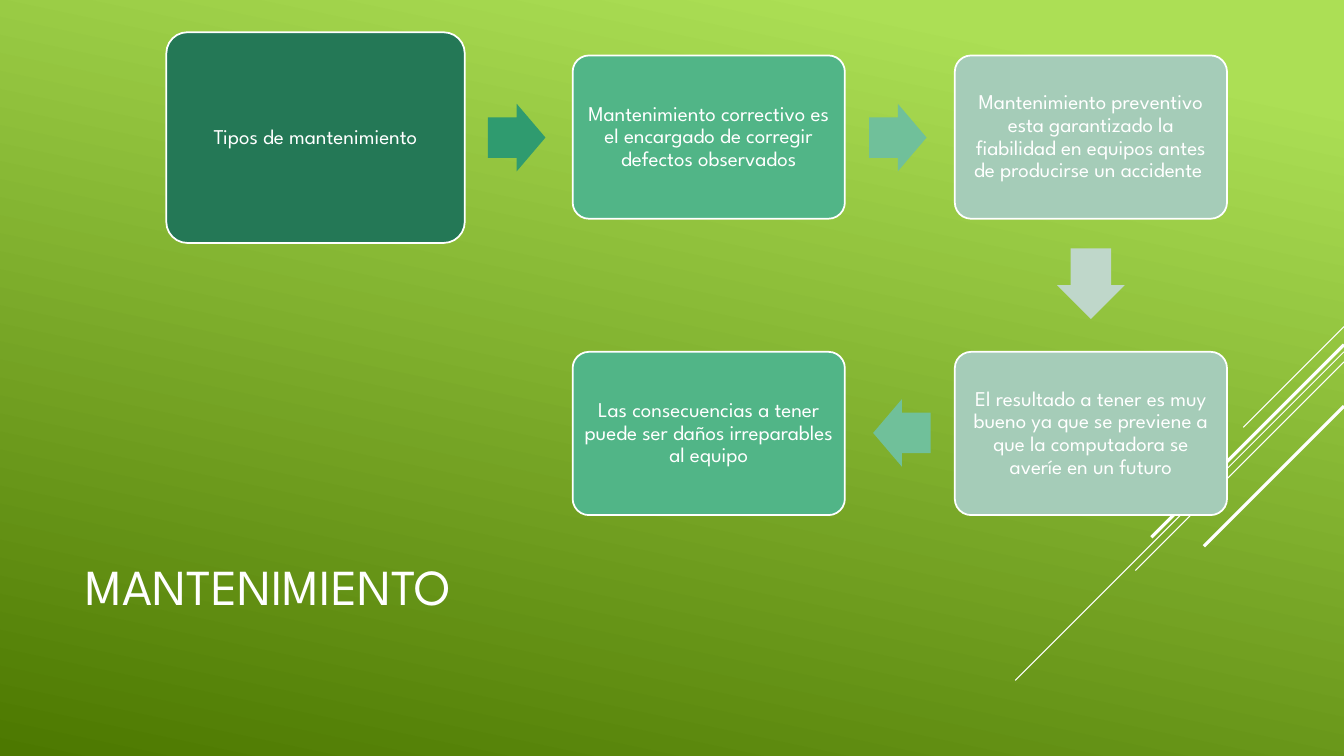
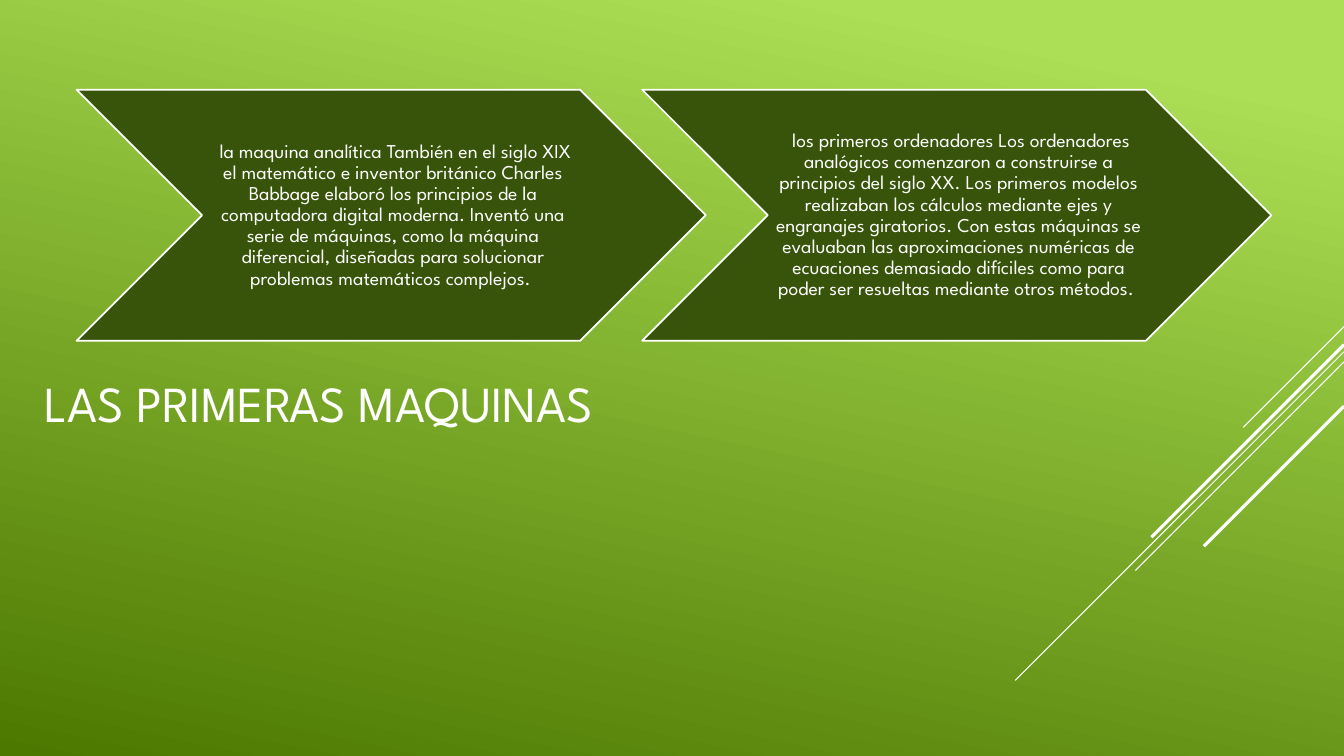
from lxml.etree import SubElement
from pptx import Presentation
from pptx.dml.color import RGBColor
from pptx.enum.shapes import MSO_CONNECTOR as Connector, MSO_SHAPE as Shape
from pptx.enum.text import MSO_ANCHOR as Anchor, PP_ALIGN as Align
from pptx.oxml.ns import qn
from pptx.util import Inches, Pt

color = RGBColor.from_string
WHITE = "FFFFFF"
FONT = "League Spartan"


def write(shape, text, size, align=Align.CENTER, spacing=0.9, insets=(0.06, 0.06, 0.06, 0.06)):
    frame = shape.text_frame
    frame.word_wrap = True
    frame.vertical_anchor = Anchor.MIDDLE
    frame.margin_left, frame.margin_top, frame.margin_right, frame.margin_bottom = map(Inches, insets)
    para = frame.paragraphs[0]
    para.alignment = align
    para.line_spacing = spacing
    span = para.add_run()
    span.text = text
    span.font.name = FONT
    span.font.size = Pt(size)
    span.font.color.rgb = color(WHITE)


def draw(page, kind, place, fill, outlined=True):
    shape = page.shapes.add_shape(kind, *map(Inches, place))
    shape.shadow.inherit = False
    shape.fill.solid()
    shape.fill.fore_color.rgb = color(fill)
    if outlined:
        shape.line.color.rgb = color(WHITE)
        shape.line.width = Pt(1.25)
    else:
        shape.line.fill.background()
    return shape


deck = Presentation()
deck.slide_width, deck.slide_height = Inches(13.33), Inches(7.5)
title_only = deck.slide_layouts[5]
master = deck.slide_master

backdrop = master.background.fill
backdrop.gradient()
backdrop.gradient_angle = 258
for stop, (position, shade) in zip(backdrop.gradient_stops, [(0.1, "ACDF55"), (1, "4C7800")]):
    stop.position = position
    stop.color.rgb = color(shade)

titles = [
    ("MANTENIMIENTO", (0.75, 5.14, 9.33, 1.42)),
    ("LAS PRIMERAS MAQUINAS", (0.34, 3.58, 9.43, 0.89)),
]
pages = []
for text, place in titles:
    page = deck.slides.add_slide(title_only)
    title = page.shapes.title
    title.left, title.top, title.width, title.height = map(Inches, place)
    write(title, text, 36, align=Align.LEFT, insets=(0.1, 0.05, 0.1, 0.05))
    pages.append(page)
maintenance, machines = pages

diagonals = [(3.24, 1, 0.75), (3.49, 3.26, 0.75), (3.59, 2.07, 0.75), (3.42, 1.91, 2.25), (4.03, 1.39, 2.25)]
for top, reach, weight in diagonals:
    ends = (13.33, top, 13.33 - reach, top + reach)
    stripe = maintenance.shapes.add_connector(Connector.STRAIGHT, *map(Inches, ends))
    stripe.line.color.rgb = color(WHITE)
    stripe.line.width = Pt(weight)
    SubElement(stripe.element.spPr, qn("a:effectLst"))
    master.shapes.element.append(stripe.element)

middle, right = 5.68, 9.47
upper, lower = 0.55, 3.49
card_size = (2.7, 1.62)
cards = [
    ((1.65, 0.32, 2.96, 2.09), "247856", "Tipos de mantenimiento"),
    ((middle, upper, *card_size), "51B587",
     "Mantenimiento correctivo es el encargado de corregir defectos observados"),
    ((right, upper, *card_size), "A5CCB8",
     "Mantenimiento preventivo esta garantizado la fiabilidad en equipos antes de producirse un accidente "),
    ((right, lower, *card_size), "A5CCB8",
     "El resultado a tener es muy bueno ya que se previene a que la computadora se averíe en un futuro"),
    ((middle, lower, *card_size), "51B587",
     "Las consecuencias a tener puede ser daños irreparables al equipo"),
]
for place, fill, text in cards:
    card = draw(maintenance, Shape.ROUNDED_RECTANGLE, place, fill)
    card.adjustments[0] = 0.1
    write(card, text, 15)

arrows = [
    ((4.84, 1.03, 0.57, 0.67), 0, "2F9B6F"),
    ((8.62, 1.03, 0.57, 0.67), 0, "70C09A"),
    ((10.47, 2.48, 0.7, 0.67), 90, "BFD7CA"),
    ((8.66, 3.96, 0.57, 0.67), 180, "70C09A"),
]
for place, angle, fill in arrows:
    arrow = draw(maintenance, Shape.RIGHT_ARROW, place, fill, outlined=False)
    arrow.adjustments[0], arrow.adjustments[1] = 0.6, 0.5
    arrow.rotation = angle

histories = [
    " la maquina analítica También en el siglo XIX el matemático e inventor británico Charles Babbage "
    "elaboró los principios de la computadora digital moderna. Inventó una serie de máquinas, como la "
    "máquina diferencial, diseñadas para solucionar problemas matemáticos complejos. ",
    " los primeros ordenadores Los ordenadores analógicos comenzaron a construirse a principios del "
    "siglo XX. Los primeros modelos realizaban los cálculos mediante ejes y engranajes giratorios. Con "
    "estas máquinas se evaluaban las aproximaciones numéricas de ecuaciones demasiado difíciles como "
    "para poder ser resueltas mediante otros métodos. ",
]
for index, text in enumerate(histories):
    chevron = draw(machines, Shape.CHEVRON, (0.76 + index * 5.61, 0.89, 6.24, 2.49), "38540A")
    write(chevron, text, 14, insets=(0.06, 0.02, 0.02, 0.02))

deck.save("out.pptx")
